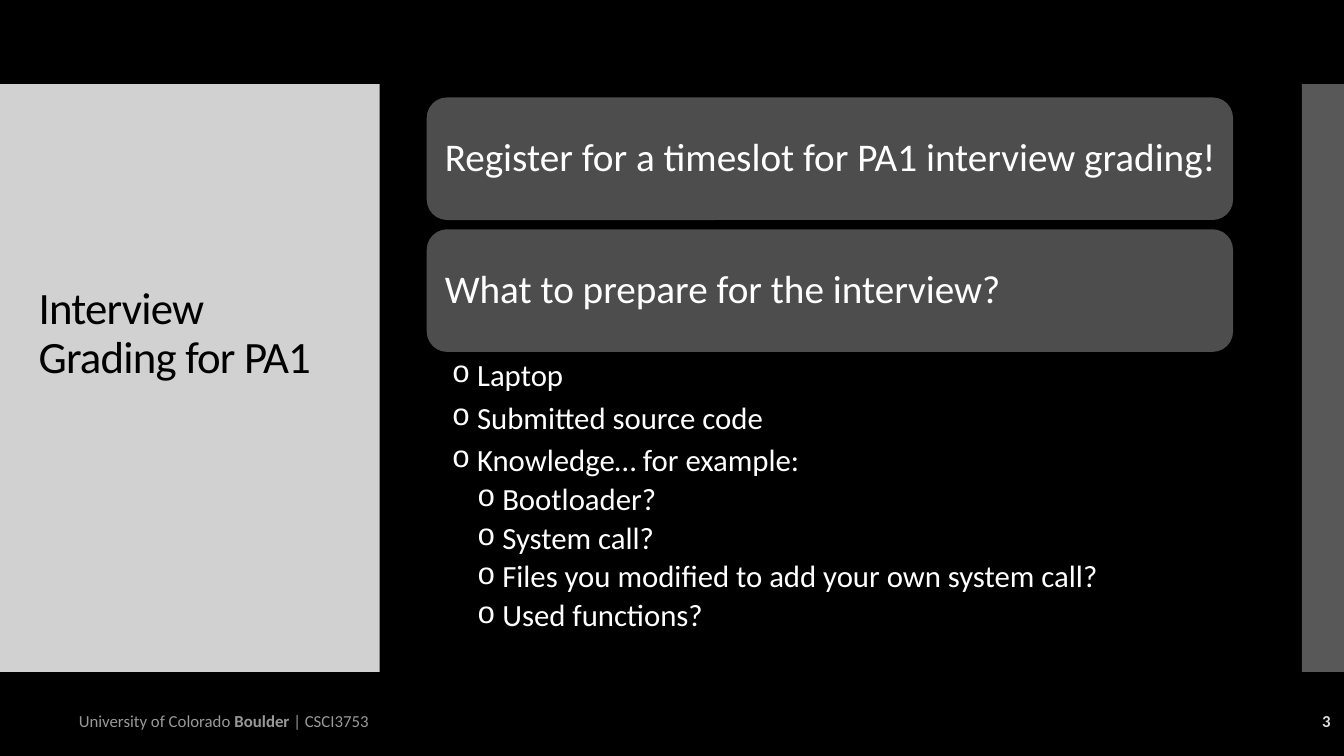
from lxml import etree
from pptx import Presentation
from pptx.dml.color import RGBColor
from pptx.enum.shapes import MSO_SHAPE
from pptx.enum.text import MSO_ANCHOR, MSO_AUTO_SIZE, PP_ALIGN
from pptx.oxml.ns import qn
from pptx.util import Inches, Pt

RECTANGLE, ROUNDED = MSO_SHAPE.RECTANGLE, MSO_SHAPE.ROUNDED_RECTANGLE
TOP, MIDDLE, BOTTOM = MSO_ANCHOR.TOP, MSO_ANCHOR.MIDDLE, MSO_ANCHOR.BOTTOM
LEFT, RIGHT = PP_ALIGN.LEFT, PP_ALIGN.RIGHT
NO_AUTOFIT = MSO_AUTO_SIZE.NONE

COLUMNS, ROWS = 16, 9
WIDTH, HEIGHT = Inches(13.333), Inches(7.5)
FONT = "Calibri"
BLACK, WHITE, PALE, GREY, CARD = "000000", "FFFFFF", "DDDDDD", "999999", "4D4D4D"

CONTENT_LEFT, CONTENT_WIDTH = 5.08, 9.6
CARD_TOP, CARD_HEIGHT, CARD_STEP = 1.16, 1.46, 1.57
FOOTER_TOP, FOOTER_HEIGHT = 8.34, 0.48

CARDS = [
    "Register for a timeslot for PA1 interview grading!",
    "What to prepare for the interview?",
]
CHECKLIST = [
    (1, "Laptop"),
    (1, "Submitted source code"),
    (1, "Knowledge… for example:"),
    (2, "Bootloader?"),
    (2, "System call?"),
    (2, "Files you modified to add your own system call?"),
    (2, "Used functions?"),
]
LINE_SPACING = {1: 1.0, 2: 0.9}


def colour(target, value):
    target.rgb = RGBColor.from_string(value)


def apply(target, values):
    for name, value in values.items():
        setattr(target, name, value)


def grid(left, top, width, height):
    column, row = WIDTH / COLUMNS, HEIGHT / ROWS
    return [round(left * column), round(top * row), round(width * column), round(height * row)]


def move(shape, *cells):
    apply(shape, dict(zip(("left", "top", "width", "height"), grid(*cells))))


def format_frame(frame, anchor, insets=(0.1, 0.05, 0.1, 0.05)):
    names = ("margin_left", "margin_top", "margin_right", "margin_bottom")
    apply(frame, dict(zip(names, map(Inches, insets))))
    apply(frame, {"word_wrap": True, "auto_size": NO_AUTOFIT, "vertical_anchor": anchor})


def write(paragraph, text, size, value, bold=False):
    run = paragraph.add_run()
    run.text = text
    apply(run.font, {"name": FONT, "size": Pt(size), "bold": bold})
    colour(run.font.color, value)
    return run


def add_block(slide, kind, value, *cells):
    shape = slide.shapes.add_shape(kind, *grid(*cells))
    shape.shadow.inherit = False
    shape.fill.solid()
    colour(shape.fill.fore_color, value)
    shape.line.fill.background()
    return shape


def add_panel(slide, opacity, *cells):
    panel = add_block(slide, RECTANGLE, PALE, *cells)
    fill = panel.element.spPr.find(qn("a:solidFill"))
    etree.SubElement(fill[0], qn("a:alpha"), val=str(opacity * 1000))
    panel.element.getparent().insert(2, panel.element)


def add_card(slide, text, *cells):
    card = add_block(slide, ROUNDED, CARD, *cells)
    format_frame(card.text_frame, MIDDLE, (0.12, 0.12, 0.05, 0.12))
    paragraph = card.text_frame.paragraphs[0]
    apply(paragraph, {"alignment": LEFT, "line_spacing": 0.9})
    write(paragraph, text, 28, WHITE)


def add_footer(slide, runs, value, alignment, left, width):
    box = slide.shapes.add_textbox(*grid(left, FOOTER_TOP, width, FOOTER_HEIGHT))
    format_frame(box.text_frame, MIDDLE)
    paragraph = box.text_frame.paragraphs[0]
    paragraph.alignment = alignment
    for text, bold in runs:
        write(paragraph, text, 12, value, bold)


def set_bullet(paragraph, level):
    properties = paragraph._p.get_or_add_pPr()
    properties.set("marL", str(Inches(0.25 * level)))
    properties.set("indent", str(Inches(-0.25)))
    etree.SubElement(properties, qn("a:buFont"), typeface="Courier New")
    etree.SubElement(properties, qn("a:buChar"), char="o")


def fill_title(title):
    move(title, 0.34, 1.5, 3.72, 3.12)
    format_frame(title.text_frame, BOTTOM)
    paragraph = title.text_frame.paragraphs[0]
    apply(paragraph, {"alignment": LEFT, "line_spacing": 0.9})
    run = write(paragraph, "Interview Grading for PA1", 32, BLACK)
    run.font._element.set("spc", "-60")


def fill_checklist(body):
    move(body, CONTENT_LEFT, 4.19, CONTENT_WIDTH, 3.65)
    frame = body.text_frame
    format_frame(frame, TOP, (0.25, 0.04, 0.22, 0.04))
    for index, (level, text) in enumerate(CHECKLIST):
        paragraph = frame.add_paragraph() if index else frame.paragraphs[0]
        set_bullet(paragraph, level)
        apply(paragraph, {
            "level": level,
            "alignment": LEFT,
            "line_spacing": LINE_SPACING[level],
            "space_before": Pt(0),
            "space_after": Pt(4),
        })
        write(paragraph, text, 22, WHITE)


def main():
    presentation = Presentation()
    apply(presentation, {"slide_width": WIDTH, "slide_height": HEIGHT})
    slide = presentation.slides.add_slide(presentation.slide_layouts[1])
    slide.background.fill.solid()
    colour(slide.background.fill.fore_color, BLACK)

    add_panel(slide, 95, 0, 1, 4.52, 7)
    add_panel(slide, 40, 15.5, 1, 0.5, 7)
    fill_title(slide.shapes.title)
    for index, text in enumerate(CARDS):
        top = CARD_TOP + index * CARD_STEP
        add_card(slide, text, CONTENT_LEFT, top, CONTENT_WIDTH, CARD_HEIGHT)
    fill_checklist(slide.placeholders[1])

    course = [("University of Colorado ", False), ("Boulder", True), (" | CSCI3753", False)]
    add_footer(slide, course, GREY, LEFT, 0.82, 12)
    add_footer(slide, [("3", True)], PALE, RIGHT, 13.96, 2)
    presentation.save("out.pptx")


if __name__ == "__main__":
    main()
